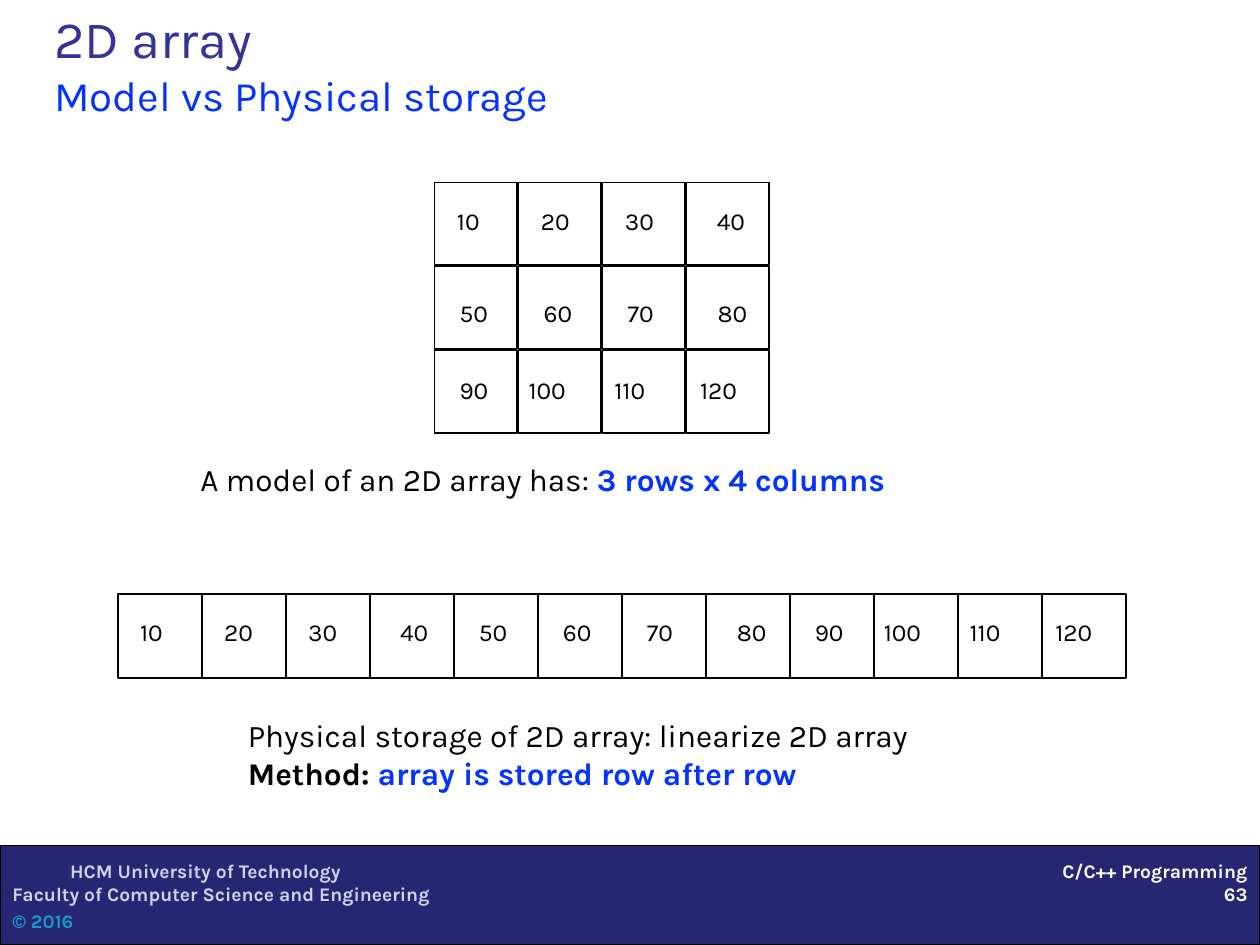
from pptx import Presentation
from pptx.dml.color import RGBColor
from pptx.enum.shapes import MSO_SHAPE
from pptx.enum.text import MSO_ANCHOR, MSO_AUTO_SIZE, PP_ALIGN
from pptx.util import Pt

FONT = "Karla"
COLORS = {
    "white": "FFFFFF", "black": "000000", "navy": "262673", "title": "333399",
    "blue": "0432FF", "lavender": "D1D1F0", "cyan": "199ACC",
}

# Content: each paragraph is a list of (text, size, color, bold) runs
TITLE = [[("2D array\v", 30, "title", False),
          ("Model vs Physical storage", 24, "blue", False)]]
MODEL_CAPTION = [[("A model of an 2D array has: ", 18, "black", False),
                  ("3 rows x 4 columns", 18, "blue", True)]]
STORAGE_CAPTION = [
    [("Physical storage of 2D array: linearize 2D array", 18, "black", False)],
    [("Method: ", 18, "black", True),
     ("array is stored row after row", 18, "blue", True)],
]
SCHOOL = [
    [("HCM University of Technology", 11, "lavender", True)],
    [("Faculty of Computer Science and Engineering", 11, "lavender", True)],
    [("© 2016", 11, "cyan", True)],
]
COURSE = [[("C/C++ Programming", 11, "white", True)], [("63", 11, "white", True)]]

# Array values, row by row: (value, label offset from the cell's left edge)
ARRAY = [
    [(10, 5.5), (20, 5.5), (30, 5.5), (40, 10)],
    [(50, 7), (60, 7), (70, 7), (80, 10.5)],
    [(90, 7), (100, -1.5), (110, -0.5), (120, 0.5)],
]
MODEL_LABEL_DROPS = [9.5, 14, 10]
STORAGE_LABEL_DROP = 9.5
PITCH = 48

presentation = Presentation()
presentation.slide_width, presentation.slide_height = Pt(720), Pt(540)
slide = presentation.slides.add_slide(presentation.slide_layouts[6])


def color(name):
    return RGBColor.from_string(COLORS[name])


def style(font, size, color_name, bold):
    font.name, font.size, font.bold = FONT, Pt(size), bold
    font.color.rgb = color(color_name)


def add_rectangle(shapes, left, top, width, height, fill):
    rectangle = shapes.add_shape(MSO_SHAPE.RECTANGLE, Pt(left), Pt(top), Pt(width), Pt(height))
    rectangle.shadow.inherit = False
    rectangle.fill.solid()
    rectangle.fill.fore_color.rgb = color(fill)
    rectangle.line.color.rgb = color("black")
    rectangle.line.width = Pt(0.75)


def add_text(shapes, left, top, width, height, paragraphs, wrap=True, align=PP_ALIGN.LEFT):
    frame = shapes.add_textbox(Pt(left), Pt(top), Pt(width), Pt(height)).text_frame
    frame.word_wrap = wrap
    frame.auto_size = MSO_AUTO_SIZE.SHAPE_TO_FIT_TEXT
    for index, runs in enumerate(paragraphs):
        paragraph = frame.paragraphs[0] if index == 0 else frame.add_paragraph()
        paragraph.alignment = align
        if len(runs) == 1:
            style(paragraph.font, *runs[0][1:])
        for text, *look in runs:
            run = paragraph.add_run()
            run.text = text.rstrip("\v")
            if len(runs) > 1:
                style(run.font, *look)
            if text.endswith("\v"):
                paragraph.add_line_break()
    return frame


def add_cells(shapes, left, top, size, rows, label_drops):
    for row_index, row in enumerate(rows):
        for column in range(len(row)):
            add_rectangle(shapes, left + column * PITCH, top + row_index * PITCH,
                          size, size, "white")
    for row_index, (row, drop) in enumerate(zip(rows, label_drops)):
        for column, (value, offset) in enumerate(row):
            add_text(shapes, left + column * PITCH + offset, top + row_index * PITCH + drop,
                     41 if value >= 100 else 31.5, 24,
                     [[(str(value), 14, "black", False)]], wrap=False)


# Footer band
add_rectangle(slide.shapes, 0, 483, 720, 57, "navy")
school = add_text(slide.shapes, 0, 487.5, 297.5, 49, SCHOOL)
school.paragraphs[0]._p.get_or_add_pPr().set("indent", str(Pt(33)))
school.paragraphs[2].space_before = Pt(2.2)
add_text(slide.shapes, 300, 487.5, 420, 34, COURSE, align=PP_ALIGN.RIGHT)

# Title
title = add_text(slide.shapes, 24, 6, 678, 66, TITLE)
title.auto_size = MSO_AUTO_SIZE.NONE
title.vertical_anchor = MSO_ANCHOR.BOTTOM

# Model: 3 x 4 grid
model = slide.shapes.add_group_shape()
add_cells(model.shapes, 248.5, 104.5, 47, ARRAY, MODEL_LABEL_DROPS)

# Physical storage: the same rows laid end to end
add_cells(slide.shapes, 67.5, 339.5, PITCH, [sum(ARRAY, [])], [STORAGE_LABEL_DROP])

# Captions
add_text(slide.shapes, 107.5, 259.5, 468, 29, MODEL_CAPTION, wrap=False)
add_text(slide.shapes, 134.5, 405.5, 391.5, 50.5, STORAGE_CAPTION, wrap=False)

presentation.save("out.pptx")
